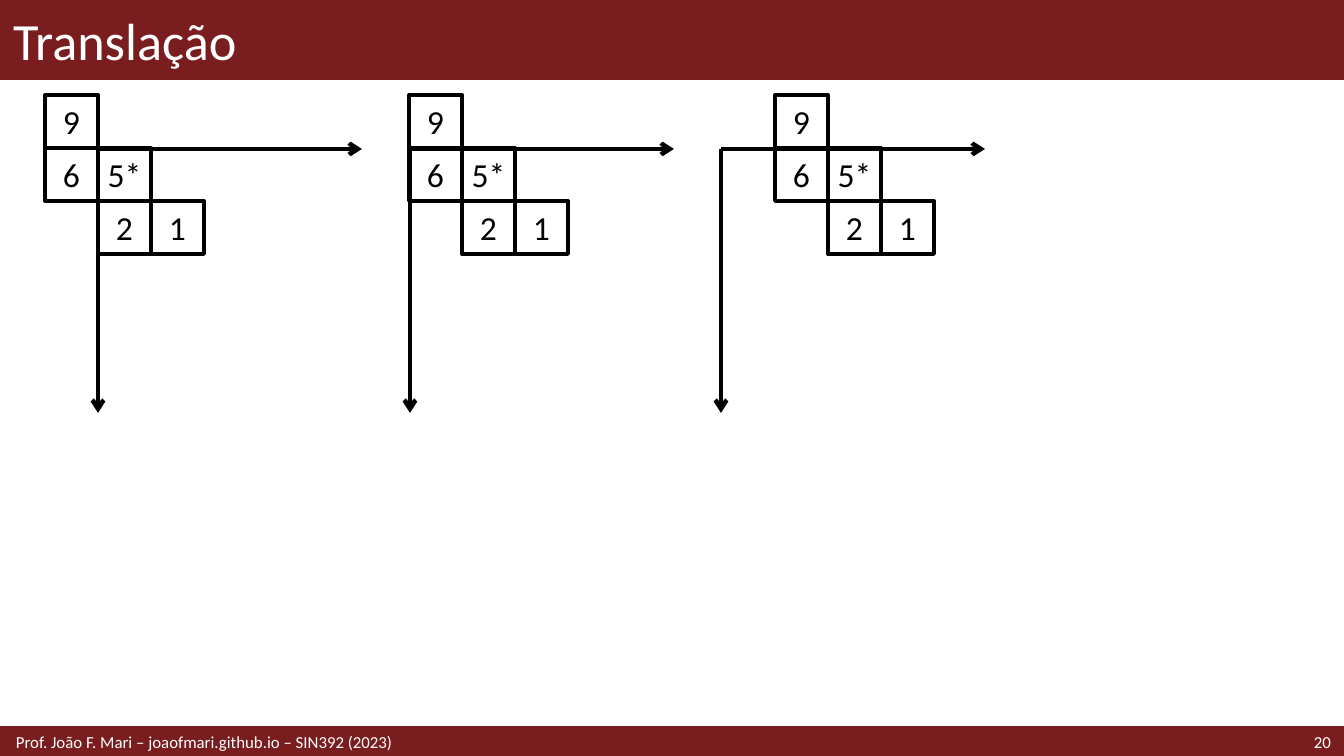
"""Build the "Translação" slide: one structuring element placed over three axis origins."""
from dataclasses import dataclass

from lxml.etree import SubElement
from pptx import Presentation
from pptx.dml.color import RGBColor as Color
from pptx.enum.shapes import MSO_CONNECTOR as Connector, MSO_SHAPE as Shape
from pptx.enum.text import MSO_ANCHOR as Anchor, PP_ALIGN as Align
from pptx.oxml.ns import qn
from pptx.util import Emu, Pt


@dataclass(frozen=True)
class Theme:
    font: str = "Calibri"
    band: Color = Color(0x79, 0x1D, 0x1F)
    light: Color = Color(0xFF, 0xFF, 0xFF)
    ink: Color = Color(0, 0, 0)
    title: Pt = Pt(28)
    cell: Pt = Pt(18)
    footer: Pt = Pt(9)
    cell_line: Pt = Pt(2)
    axis_line: Pt = Pt(2.25)


def px(*lengths):
    return [Emu(length * 914400 * 10 // 1344) for length in lengths]


def write(shape, text, size, color, align, margin_x, margin_y=0):
    frame = shape.text_frame
    frame.word_wrap = True
    frame.vertical_anchor = Anchor.MIDDLE
    frame.margin_left, frame.margin_right = px(margin_x, margin_x)
    frame.margin_top, frame.margin_bottom = px(margin_y, margin_y)
    paragraph = frame.paragraphs[0]
    paragraph.alignment = align
    run = paragraph.add_run()
    run.text = text
    run.font.name, run.font.size = theme.font, size
    run.font.color.rgb = color


theme = Theme()
WIDTH, HEIGHT = 1344, 756
TITLE_HEIGHT, FOOTER_TOP, FOOTER_HEIGHT = 79, 728, 28

presentation = Presentation()
presentation.slide_width, presentation.slide_height = px(WIDTH, HEIGHT)
slide = presentation.slides.add_slide(presentation.slide_layouts[5])

title = slide.shapes.title
title.left, title.top, title.width, title.height = px(0, 0, WIDTH, TITLE_HEIGHT)
write(title, "Translação", theme.title, theme.light, Align.LEFT, 13, 6)

for top, height, line_width in [(0, TITLE_HEIGHT, 1), (FOOTER_TOP, FOOTER_HEIGHT, 2)]:
    band = slide.shapes.add_shape(Shape.RECTANGLE, *px(0, top, WIDTH, height))
    band.shadow.inherit = False
    band.fill.solid()
    band.fill.fore_color.rgb = band.line.color.rgb = theme.band
    band.line.width = Pt(line_width)
    title.element.addprevious(band.element)

footers = [
    (1191, 153, "20", Align.RIGHT, 13),
    (0, 926, "Prof. João F. Mari – joaofmari.github.io – SIN392 (2023)", Align.LEFT, 16),
]
for left, width, text, align, margin in footers:
    footer = slide.shapes.add_textbox(*px(left, FOOTER_TOP, width, FOOTER_HEIGHT))
    write(footer, text, theme.footer, theme.light, align, margin)

CELL, CELLS_TOP = 53, 95
AXIS_TOP, AXIS_LENGTH = 149, 264
cells = [(2, 2, "1"), (2, 1, "2"), (1, 1, "5*"), (1, 0, "6"), (0, 0, "9")]
figures = [(98, 45), (410, 409), (721, 775)]

for axis_left, cells_left in figures:
    axes = slide.shapes.add_group_shape()
    for across, down in [(0, AXIS_LENGTH), (AXIS_LENGTH, 0)]:
        axis = axes.shapes.add_connector(
            Connector.STRAIGHT,
            *px(axis_left, AXIS_TOP, axis_left + across, AXIS_TOP + down))
        axis.line.color.rgb = theme.ink
        axis.line.width = theme.axis_line
        SubElement(axis.line._get_or_add_ln(), qn("a:tailEnd"), type="arrow")
        SubElement(axis.element.spPr, qn("a:effectLst"))

    element = slide.shapes.add_group_shape()
    for row, column, label in cells:
        left, top = cells_left + column * CELL, CELLS_TOP + row * CELL
        cell = element.shapes.add_shape(Shape.RECTANGLE, *px(left, top, CELL, CELL))
        cell.shadow.inherit = False
        cell.fill.background()
        cell.line.color.rgb = theme.ink
        cell.line.width = theme.cell_line
        write(cell, label, theme.cell, theme.ink, Align.CENTER, 5, 6)

presentation.save("out.pptx")
